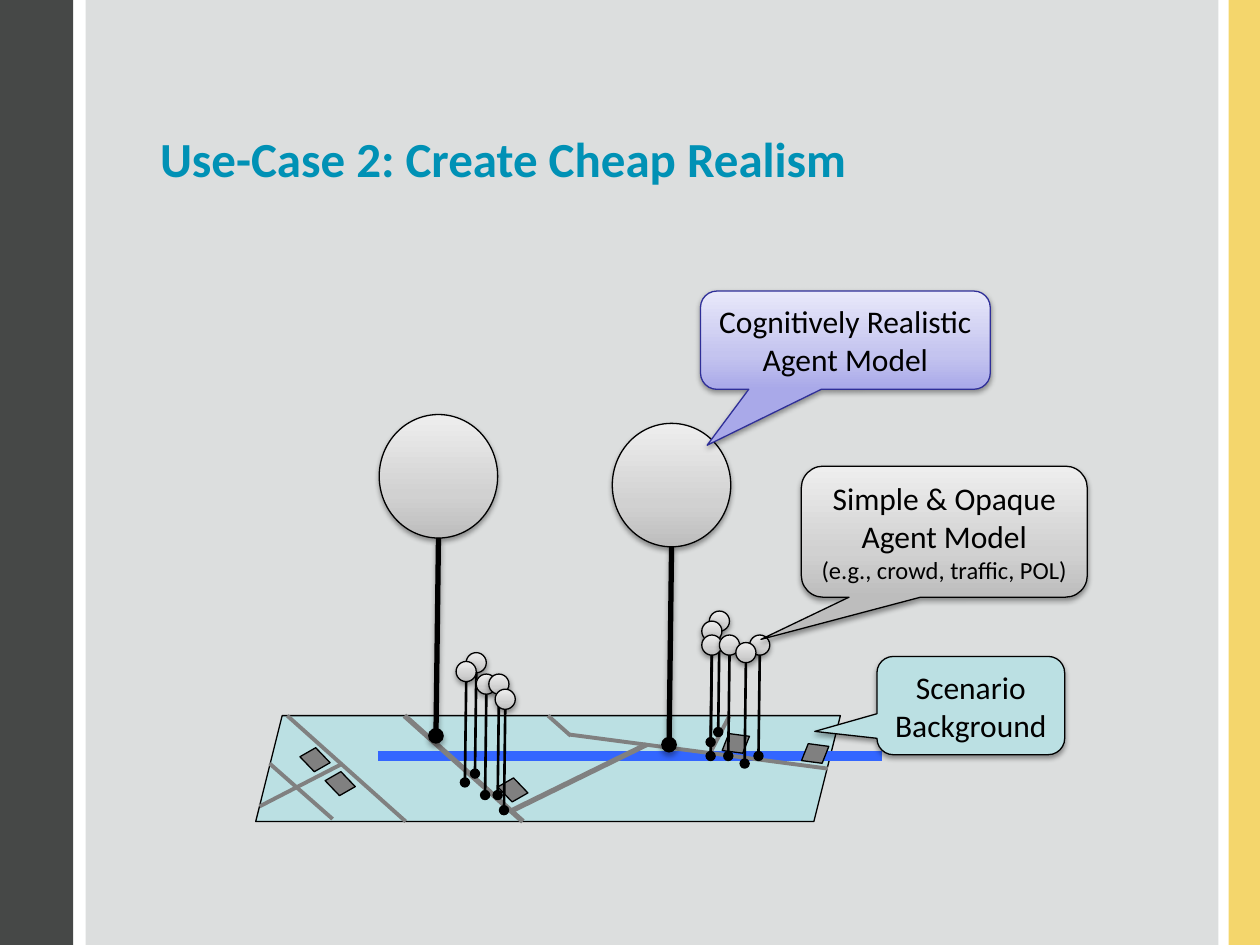
import copy
import dataclasses
import typing

import pptx
import pptx.dml.color
import pptx.enum.dml
import pptx.enum.shapes
import pptx.enum.text
import pptx.oxml
import pptx.oxml.ns
import pptx.util

Inches = pptx.util.Inches
Pt = pptx.util.Pt
Kind = pptx.enum.shapes.MSO_SHAPE
NS = 'xmlns:a="http://schemas.openxmlformats.org/drawingml/2006/main"'
Point = tuple[float, float]


@dataclasses.dataclass(frozen=True)
class Theme:
    font: str = "Calibri"
    title: str = "0091B5"
    ink: str = "000000"
    dark: str = "464847"
    gold: str = "F4D66C"
    pale: str = "DCDEDE"
    land: str = "BBE0E3"
    river: str = "3366FF"
    road: str = "808080"
    violet: str = "2F2F98"
    gray_fade: tuple[str, ...] = ("BDBDBD", "D1D1D1", "EEEEEE")
    blue_fade: tuple[str, ...] = ("A9A9E9", "C4C4EF", "E8E8FA")
    head_size: int = 28
    body_size: int = 18
    note_size: int = 14
    thin: float = 0.75


THEME = Theme()
Paint = str | tuple[str, ...]


class Box(typing.NamedTuple):
    x: float
    y: float
    w: float
    h: float


class Panel(typing.NamedTuple):
    box: Box
    fill: str


class Road(typing.NamedTuple):
    start: Point
    end: Point
    width: float = 2.25


class House(typing.NamedTuple):
    x: float
    y: float
    turn: float


class Build(typing.NamedTuple):
    w: float
    h: float
    stem: float
    drift: float
    width: float
    shade: bool


class Agent(typing.NamedTuple):
    x: float
    y: float
    build: Build


class Callout(typing.NamedTuple):
    box: Box
    tip: Point
    fill: Paint
    line: str
    text: str
    note: str = ""


BIG = Build(0.94, 0.98, 1.57, 0.02, 3, True)
SMALL = Build(0.16, 0.16, 0.8, 0.01, 1.5, False)

PANELS = [
    Panel(Box(0, 0, 0.58, 7.5), THEME.dark),
    Panel(Box(9.75, 0, 0.25, 7.5), THEME.gold),
    Panel(Box(0.68, 0, 8.99, 7.5), THEME.pale),
]
RIVER = [
    (2.54, 5.68), (2.76, 5.91), (2.97, 6.14), (3.24, 6.17), (3.5, 6.2),
    (3.78, 5.8), (4.15, 5.85), (4.51, 5.89), (5.06, 6.38), (5.45, 6.45),
    (5.85, 6.52), (6.52, 6.28), (6.52, 6.28),
]
ROADS = [
    Road((2.28, 5.68), (3.22, 6.52)),
    Road((2.14, 6.06), (2.64, 6.5)),
    Road((3.21, 5.68), (4.15, 6.52), 3),
    Road((4.52, 5.83), (6.57, 6.1)),
    Road((4.35, 5.68), (4.53, 5.84)),
    Road((5.79, 5.68), (5.64, 5.97)),
    Road((2.06, 6.4), (2.72, 6.06)),
    Road((5.13, 5.91), (4.07, 6.43), 3),
]
HOUSES = [
    House(2.4, 5.96, 46.1), House(2.6, 6.15, 46.1), House(3.97, 6.2, 46.1),
    House(5.74, 5.83, 7.5), House(6.37, 5.91, 7.5),
]
CROWD = [
    (3.7, 5.18), (3.62, 5.25), (3.78, 5.35), (3.88, 5.35), (3.93, 5.47),
    (5.63, 4.85), (5.57, 4.93), (5.57, 5.04), (5.71, 5.04), (5.95, 5.04),
    (5.84, 5.1),
]
AGENTS = [Agent(3.01, 3.29, BIG), Agent(4.86, 3.36, BIG)]
AGENTS += [Agent(x, y, SMALL) for x, y in CROWD]
CALLOUTS = [
    Callout(Box(5.56, 2.31, 2.3, 0.78), (-0.477, 1.069), THEME.blue_fade,
            THEME.violet, "Cognitively Realistic\vAgent Model"),
    Callout(Box(6.36, 3.7, 2.27, 1.04), (-0.641, 0.822), THEME.gray_fade,
            THEME.ink, "Simple & Opaque\vAgent Model", "(e.g., crowd, traffic, POL)"),
    Callout(Box(6.96, 5.21, 1.49, 0.78), (-0.831, 0.263), THEME.land,
            THEME.ink, "Scenario\vBackground"),
]


def rgb(code: str) -> pptx.dml.color.RGBColor:
    return pptx.dml.color.RGBColor.from_string(code)


def cast(shape, alpha: int = 38, gap: float = 1.6) -> None:
    props = shape.element.spPr
    for old in props.findall(pptx.oxml.ns.qn("a:effectLst")):
        props.remove(old)
    props.append(pptx.oxml.parse_xml(
        f'<a:effectLst {NS}><a:outerShdw blurRad="{Pt(3.1)}" dist="{Pt(gap)}" '
        f'dir="5400000" rotWithShape="0"><a:srgbClr val="000000">'
        f'<a:alpha val="{alpha * 1000}"/></a:srgbClr></a:outerShdw></a:effectLst>'))


def paint(fill, tone: Paint) -> None:
    if isinstance(tone, str):
        fill.solid()
        fill.fore_color.rgb = rgb(tone)
        return
    fill.gradient()
    fill.gradient_angle = 90
    stops = fill._xPr.find(".//" + pptx.oxml.ns.qn("a:gsLst"))
    stops.append(copy.deepcopy(stops[0]))
    for stop, code, place in zip(fill.gradient_stops, tone, (0, 0.35, 1)):
        stop.color.rgb = rgb(code)
        stop.position = place


def add_shape(shapes, kind, box: Box, fill: Paint, line: str | None = THEME.ink):
    shape = shapes.add_shape(kind, *map(Inches, box))
    shape.shadow.inherit = False
    paint(shape.fill, fill)
    if line:
        shape.line.color.rgb = rgb(line)
        shape.line.width = Pt(THEME.thin)
    else:
        shape.line.fill.background()
    return shape


def add_line(shapes, road: Road, color: str):
    line = shapes.add_connector(
        pptx.enum.shapes.MSO_CONNECTOR.STRAIGHT, *map(Inches, road.start + road.end))
    line.line.color.rgb = rgb(color)
    line.line.width = Pt(road.width)
    line.element.spPr.append(pptx.oxml.parse_xml(f"<a:effectLst {NS}/>"))
    return line


def curve(knots: list[Point], steps: int = 16) -> list[Point]:
    points = [knots[0]]
    for at in range(0, len(knots) - 1, 3):
        part = knots[at:at + 4]
        for step in range(1, steps + 1):
            t = step / steps
            mix = ((1 - t) ** 3, 3 * t * (1 - t) ** 2, 3 * t * t * (1 - t), t ** 3)
            points.append(tuple(sum(m * p[axis] for m, p in zip(mix, part))
                                for axis in (0, 1)))
    return points


def add_map(shapes) -> None:
    add_shape(shapes, Kind.PARALLELOGRAM, Box(2.03, 5.68, 4.64, 0.84), THEME.land)
    first, *rest = curve(RIVER)
    path = shapes.build_freeform(*first, scale=Inches(1))
    path.add_line_segments(rest, close=False)
    river = path.convert_to_shape()
    river.shadow.inherit = False
    river.fill.background()
    river.line.color.rgb = rgb(THEME.river)
    river.line.width = Pt(6)
    for road in ROADS:
        add_line(shapes, road, THEME.road)
    for house in HOUSES:
        box = Box(house.x, house.y, 0.2, 0.14)
        add_shape(shapes, Kind.PARALLELOGRAM, box, THEME.road).rotation = house.turn


def add_agent(shapes, agent: Agent) -> None:
    group, build = shapes.add_group_shape().shapes, agent.build
    head = Box(agent.x, agent.y, build.w, build.h)
    cast(add_shape(group, Kind.OVAL, head, THEME.gray_fade))
    mid, top = agent.x + build.w / 2, agent.y + build.h
    stem = Road((mid, top), (mid - build.drift, top + build.stem), build.width)
    line = add_line(group, stem, THEME.ink)
    line.line._get_or_add_ln().append(
        pptx.oxml.parse_xml(f'<a:tailEnd {NS} type="oval"/>'))
    if build.shade:
        cast(line, 35, 1.8)


def style(run, size: int, color: str, bold: bool = False) -> None:
    run.font.name = THEME.font
    run.font.size = Pt(size)
    run.font.color.rgb = rgb(color)
    run.font.bold = bold


def add_callout(shapes, item: Callout) -> None:
    shape = add_shape(shapes, Kind.ROUNDED_RECTANGULAR_CALLOUT, item.box,
                      item.fill, item.line)
    shape.adjustments[0], shape.adjustments[1] = item.tip
    cast(shape)
    frame = shape.text_frame
    frame.word_wrap = False
    frame.auto_size = pptx.enum.text.MSO_AUTO_SIZE.SHAPE_TO_FIT_TEXT
    frame.text = "\v".join(filter(None, (item.text, item.note)))
    para = frame.paragraphs[0]
    para.alignment = pptx.enum.text.PP_ALIGN.CENTER
    for run in para.runs:
        size = THEME.note_size if run.text == item.note else THEME.body_size
        style(run, size, THEME.ink)


def set_title(title, text: str) -> None:
    title.left, title.top, title.width, title.height = map(
        Inches, Box(1.17, 0.92, 8.08, 0.67))
    frame = title.text_frame
    frame.text = text
    frame.vertical_anchor = pptx.enum.text.MSO_ANCHOR.MIDDLE
    frame.paragraphs[0].alignment = pptx.enum.text.PP_ALIGN.LEFT
    style(frame.paragraphs[0].runs[0], THEME.head_size, THEME.title, True)


def main() -> None:
    deck = pptx.Presentation()
    deck.slide_width, deck.slide_height = Inches(10), Inches(7.5)
    slide = deck.slides.add_slide(deck.slide_layouts[5])
    shapes = slide.shapes
    for panel in PANELS:
        add_shape(shapes, Kind.RECTANGLE, panel.box, panel.fill, None)
    title = shapes.title
    title.element.getparent().append(title.element)
    set_title(title, "Use-Case 2: Create Cheap Realism")
    add_map(shapes.add_group_shape().shapes)
    for agent in AGENTS:
        add_agent(shapes, agent)
    for item in CALLOUTS:
        add_callout(shapes, item)
    deck.save("out.pptx")


if __name__ == "__main__":
    main()
